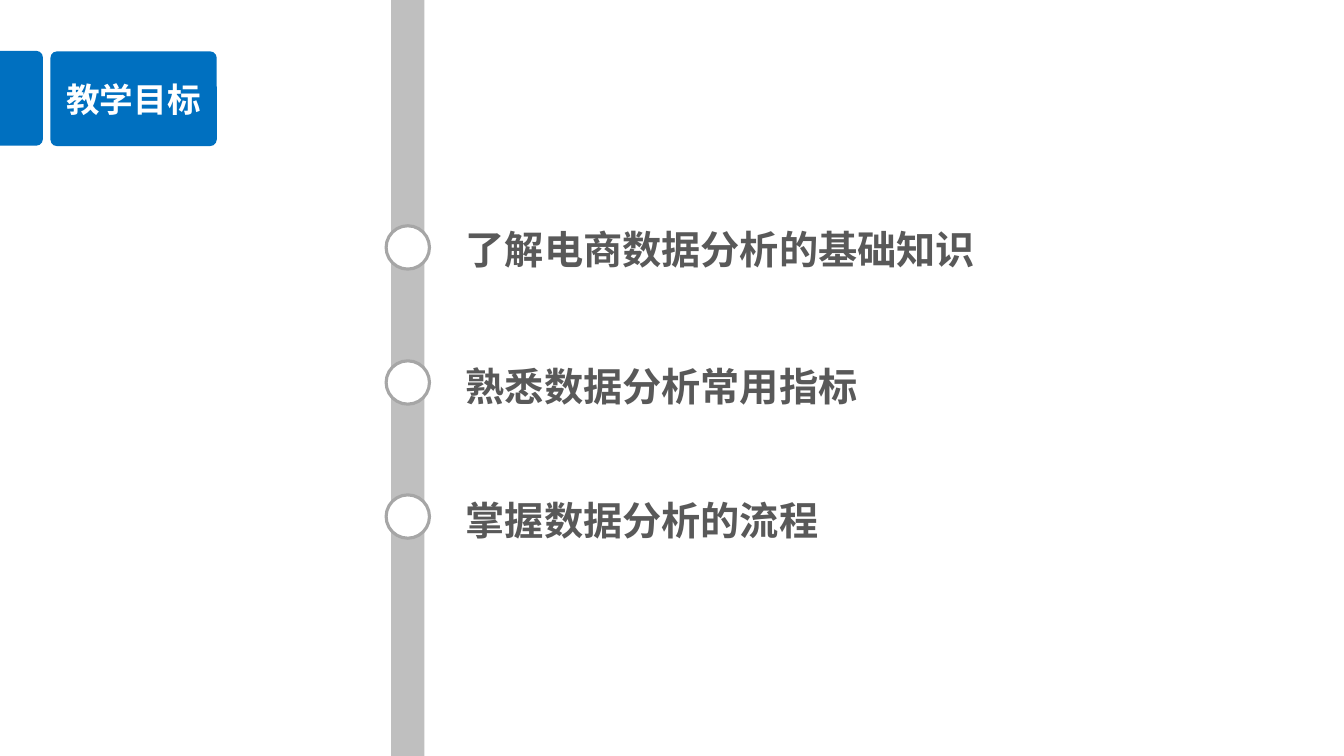
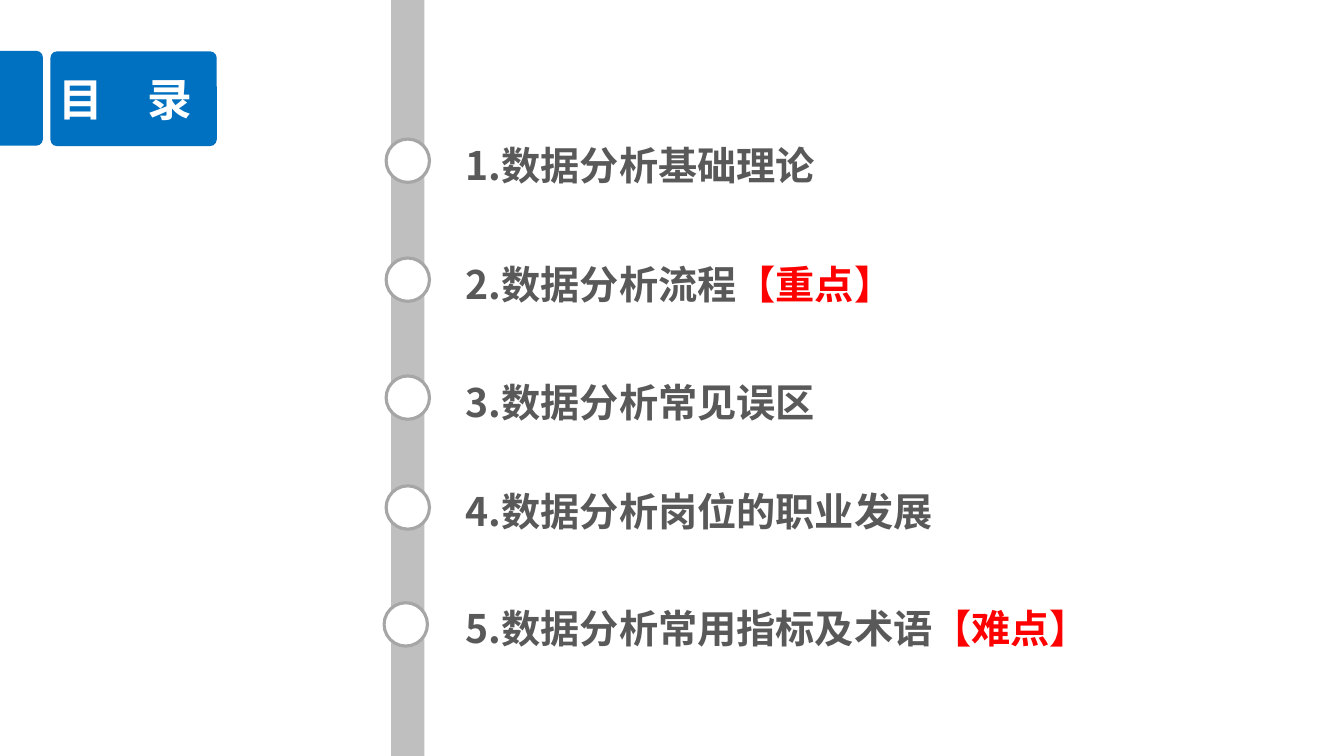
"""Build two timeline slides: teaching goals and contents."""
from dataclasses import dataclass

from lxml.etree import SubElement
from pptx import Presentation
from pptx.dml.color import RGBColor
from pptx.enum.shapes import MSO_SHAPE
from pptx.enum.text import MSO_ANCHOR, MSO_AUTO_SIZE, PP_ALIGN
from pptx.oxml.ns import qn
from pptx.util import Inches, Pt

BLUE = RGBColor(0x00, 0x70, 0xC0)
WHITE = RGBColor(0xFF, 0xFF, 0xFF)
RAIL = RGBColor(0xBF, 0xBF, 0xBF)
RING = RGBColor(0xA6, 0xA6, 0xA6)
INK = RGBColor(0x59, 0x59, 0x59)
RED = RGBColor(0xFF, 0x00, 0x00)
SANS = "Noto Sans CJK SC"
LATIN = "Calibri"
LINE = 40


@dataclass(frozen=True)
class Item:
    """One point on the timeline, with the top of its dot."""
    top: float
    text: str
    mark: str = ""
    left: float = 3.83
    lift: float = 0.07

    @property
    def head(self) -> float:
        """Return the top of the text line."""
        return self.top - self.lift


@dataclass(frozen=True)
class Page:
    """One slide with its title and points."""
    title: str
    size: int
    left: float
    items: tuple[Item, ...]


PAGES = (
    Page("教学目标", 24, 0.5, (
        Item(2.24, "了解电商数据分析的基础知识", lift=0.09),
        Item(3.58, "熟悉数据分析常用指标"),
        Item(4.91, "掌握数据分析的流程"),
    )),
    Page("目　录", 32, 0.42, (
        Item(1.38, "1.数据分析基础理论"),
        Item(2.56, "2.数据分析流程", "【重点】"),
        Item(3.73, "3.数据分析常见误区"),
        Item(4.82, "4.数据分析岗位的职业发展"),
        Item(5.98, "5.数据分析常用指标及术语", "【难点】", left=3.81),
    )),
)


def write(par, text: str, *, size: int, color: RGBColor, font: str = SANS) -> None:
    """Add a bold run to a paragraph."""
    run = par.add_run()
    run.text = text
    run.font.size = Pt(size)
    run.font.bold = True
    run.font.color.rgb = color
    run.font.name = font
    SubElement(run._r.get_or_add_rPr(), qn("a:ea")).set("typeface", SANS)


def place(shape, left: float, top: float, width: float, height: float):
    """Move a placeholder to the front and return its bare text frame."""
    shape.left, shape.top = Inches(left), Inches(top)
    shape.width, shape.height = Inches(width), Inches(height)
    shape.element.getparent().append(shape.element)
    frame = shape.text_frame
    frame.auto_size = MSO_AUTO_SIZE.NONE
    frame.word_wrap = True
    frame.margin_left = frame.margin_right = Inches(0.1)
    frame.margin_top = frame.margin_bottom = 0
    return frame


def draw(slide, kind: MSO_SHAPE, left: float, top: float, width: float,
         height: float, fill: RGBColor, line: RGBColor | None = None):
    """Add a flat shape with an optional outline."""
    shape = slide.shapes.add_shape(
        kind, Inches(left), Inches(top), Inches(width), Inches(height))
    shape.shadow.inherit = False
    shape.fill.solid()
    shape.fill.fore_color.rgb = fill
    if line is None:
        shape.line.fill.background()
    else:
        shape.line.color.rgb = line
        shape.line.width = Pt(2.25)
    return shape


def frame_page(slide) -> None:
    """Draw the title tabs and the rail."""
    stub = draw(slide, MSO_SHAPE.ROUND_2_SAME_RECTANGLE,
                -0.26, 0.76, 0.94, 0.43, BLUE)
    stub.rotation = 90
    stub.adjustments[0] = 0.15
    tab = draw(slide, MSO_SHAPE.ROUNDED_RECTANGLE, 0.5, 0.51, 1.65, 0.94, BLUE)
    tab.adjustments[0] = 0.07
    draw(slide, MSO_SHAPE.RECTANGLE, 3.88, 0, 0.33, 7.5, RAIL)


def fill_list(body, items: tuple[Item, ...]) -> None:
    """Write the points, spaced to match their dots."""
    first, last = items[0].head, items[-1].head
    frame = place(body, 4.52, first, 7.27, last - first + 0.57)
    frame.vertical_anchor = MSO_ANCHOR.TOP
    prior = None
    for item in items:
        par = frame.add_paragraph() if prior else frame.paragraphs[0]
        props = par._p.get_or_add_pPr()
        props.set("marL", "0")
        props.set("indent", "0")
        SubElement(props, qn("a:buNone"))
        par.line_spacing = Pt(LINE)
        par.space_before = Pt((item.head - prior.head) * 72 - LINE if prior else 0)
        write(par, item.text, size=28, color=INK)
        if item.mark:
            write(par, item.mark, size=28, color=RED)
        prior = item


def build(deck, page: Page) -> None:
    """Add one slide."""
    slide = deck.slides.add_slide(deck.slide_layouts[1])
    frame_page(slide)
    for item in page.items:
        draw(slide, MSO_SHAPE.OVAL, item.left, item.top, 0.43, 0.43, WHITE, RING)
    title = place(slide.shapes.title, page.left, 0.51, 1.65, 0.94)
    title.vertical_anchor = MSO_ANCHOR.MIDDLE
    par = title.paragraphs[0]
    par.alignment = PP_ALIGN.CENTER
    write(par, page.title, size=page.size, color=WHITE, font=LATIN)
    fill_list(slide.placeholders[1], page.items)


def main() -> None:
    """Build and save the deck."""
    deck = Presentation()
    deck.slide_width, deck.slide_height = Inches(13.33), Inches(7.5)
    for page in PAGES:
        build(deck, page)
    deck.save("out.pptx")


if __name__ == "__main__":
    main()
